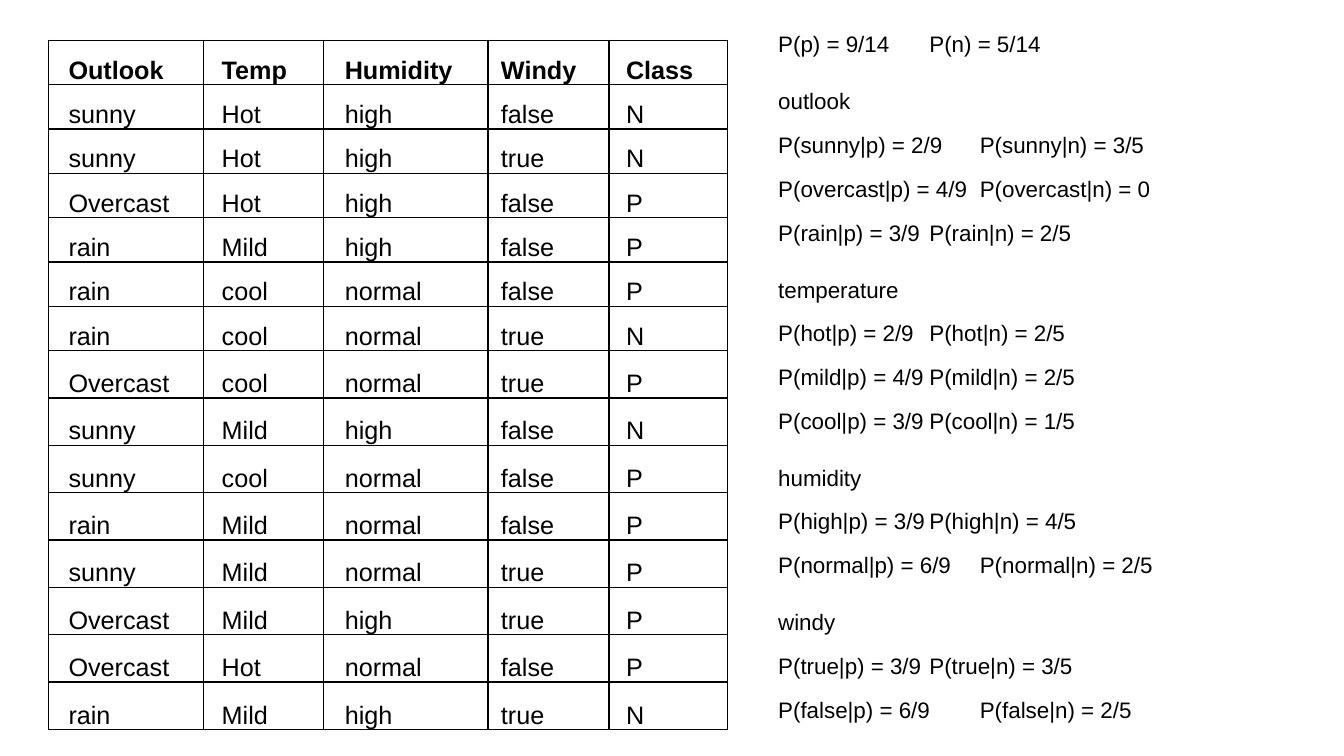
from dataclasses import dataclass

from lxml.etree import SubElement
from pptx import Presentation
from pptx.dml.color import RGBColor
from pptx.enum.text import MSO_ANCHOR as Anchor, MSO_AUTO_SIZE as AutoSize
from pptx.oxml.ns import qn
from pptx.util import Inches, Pt

COLORS = {"ink": "000000", "paper": "FFFFFF"}
FONT = "Arial"


@dataclass
class Column:
    heading: str
    width: float
    indent: float


@dataclass
class Group:
    """A heading line, followed by its (for p, for n) probabilities."""
    heading: str
    lines: list[tuple[str, str]]


COLUMNS = [
    Column("Outlook", 1.54, 0.13),
    Column("Temp", 1.19, 0.11),
    Column("Humidity", 1.63, 0.14),
    Column("Windy", 1.2, 0.06),
    Column("Class", 1.18, 0.1),
]
WEATHER = """\
sunny Hot high false N
sunny Hot high true N
Overcast Hot high false P
rain Mild high false P
rain cool normal false P
rain cool normal true N
Overcast cool normal true P
sunny Mild high false N
sunny cool normal false P
rain Mild normal false P
sunny Mild normal true P
Overcast Mild high true P
Overcast Hot normal false P
rain Mild high true N"""
SHORT_ROWS, SHORT_HEIGHT, TALL_HEIGHT = 7, 0.44, 0.47

GROUPS = [
    Group("P(p) = 9/14\tP(n) = 5/14", []),
    Group("outlook", [("sunny|p) = 2/9", "sunny|n) = 3/5"),
                      ("overcast|p) = 4/9", "overcast|n) = 0"),
                      ("rain|p) = 3/9", "rain|n) = 2/5")]),
    Group("temperature", [("hot|p) = 2/9", "hot|n) = 2/5"),
                          ("mild|p) = 4/9", "mild|n) = 2/5"),
                          ("cool|p) = 3/9", "cool|n) = 1/5")]),
    Group("humidity", [("high|p) = 3/9", "high|n) = 4/5"),
                       ("normal|p) = 6/9", "normal|n) = 2/5")]),
    Group("windy", [("true|p) = 3/9", "true|n) = 3/5"),
                    ("false|p) = 6/9", "false|n) = 2/5")]),
]


def color(name: str) -> RGBColor:
    return RGBColor.from_string(COLORS[name])


def style_paragraph(paragraph, size: int, indent: float, spacing: float,
                    bold: bool = False) -> None:
    paragraph.line_spacing = spacing
    paragraph.space_before = paragraph.space_after = Pt(6)
    properties = paragraph._p.get_or_add_pPr()
    properties.set("marL", "0")
    properties.set("indent", str(Inches(indent)))
    for run in paragraph.runs:
        run.font.name = FONT
        run.font.size = Pt(size)
        run.font.bold = bold
        run.font.color.rgb = color("ink")


def add_tab_stop(paragraph, position: float) -> None:
    tabs = SubElement(paragraph._p.get_or_add_pPr(), qn("a:tabLst"))
    SubElement(tabs, qn("a:tab"), pos=str(Inches(position)), algn="l")


def add_borders(cell) -> None:
    properties = cell._tc.get_or_add_tcPr()
    for side in ("lnL", "lnR", "lnT", "lnB"):
        line = SubElement(properties, qn(f"a:{side}"), w=str(Pt(1)))
        fill = SubElement(line, qn("a:solidFill"))
        SubElement(fill, qn("a:srgbClr"), val=COLORS["ink"])


def fill_cell(cell, text: str, indent: float, header: bool) -> None:
    cell.text_frame.text = text
    style_paragraph(cell.text_frame.paragraphs[0], 18, indent, 1.5, header)
    cell.vertical_anchor = Anchor.BOTTOM
    cell.margin_left = cell.margin_right = Inches(0.07)
    cell.margin_top = cell.margin_bottom = 0
    add_borders(cell)
    if header:
        cell.fill.solid()
        cell.fill.fore_color.rgb = color("paper")
    else:
        cell.fill.background()


def add_weather_table(slide) -> None:
    rows = [[column.heading for column in COLUMNS]]
    rows += [line.split() for line in WEATHER.splitlines()]
    heights = [SHORT_HEIGHT if index < SHORT_ROWS else TALL_HEIGHT
               for index in range(len(rows))]
    table = slide.shapes.add_table(
        len(rows), len(COLUMNS), Inches(0.48), Inches(0.4),
        Inches(sum(column.width for column in COLUMNS)),
        Inches(sum(heights))).table
    table.first_row = table.horz_banding = False
    for index, column in enumerate(COLUMNS):
        table.columns[index].width = Inches(column.width)
    for row_index, row in enumerate(rows):
        table.rows[row_index].height = Inches(heights[row_index])
        for index, text in enumerate(row):
            fill_cell(table.cell(row_index, index), text,
                      COLUMNS[index].indent, row_index == 0)


def add_probabilities(slide) -> None:
    box = slide.shapes.add_textbox(
        Inches(7.12), Inches(0.12), Inches(6.67), Inches(7.17))
    text_frame = box.text_frame
    text_frame.word_wrap = True
    text_frame.auto_size = AutoSize.SHAPE_TO_FIT_TEXT
    lines = []
    for group in GROUPS:
        lines.append((group.heading, 1.5))
        lines += [(f"P({first}\tP({second}", 1.0)
                  for first, second in group.lines]
    text_frame.text = "\n".join(text for text, _ in lines)
    for paragraph, (_, spacing) in zip(text_frame.paragraphs, lines):
        style_paragraph(paragraph, 16, 0.5, spacing)
        add_tab_stop(paragraph, 4)


presentation = Presentation()
presentation.slide_width = Inches(13.33)
presentation.slide_height = Inches(7.5)
slide = presentation.slides.add_slide(presentation.slide_layouts[6])

# Training examples on the left
add_weather_table(slide)

# Estimated probabilities on the right
add_probabilities(slide)

presentation.save("out.pptx")
